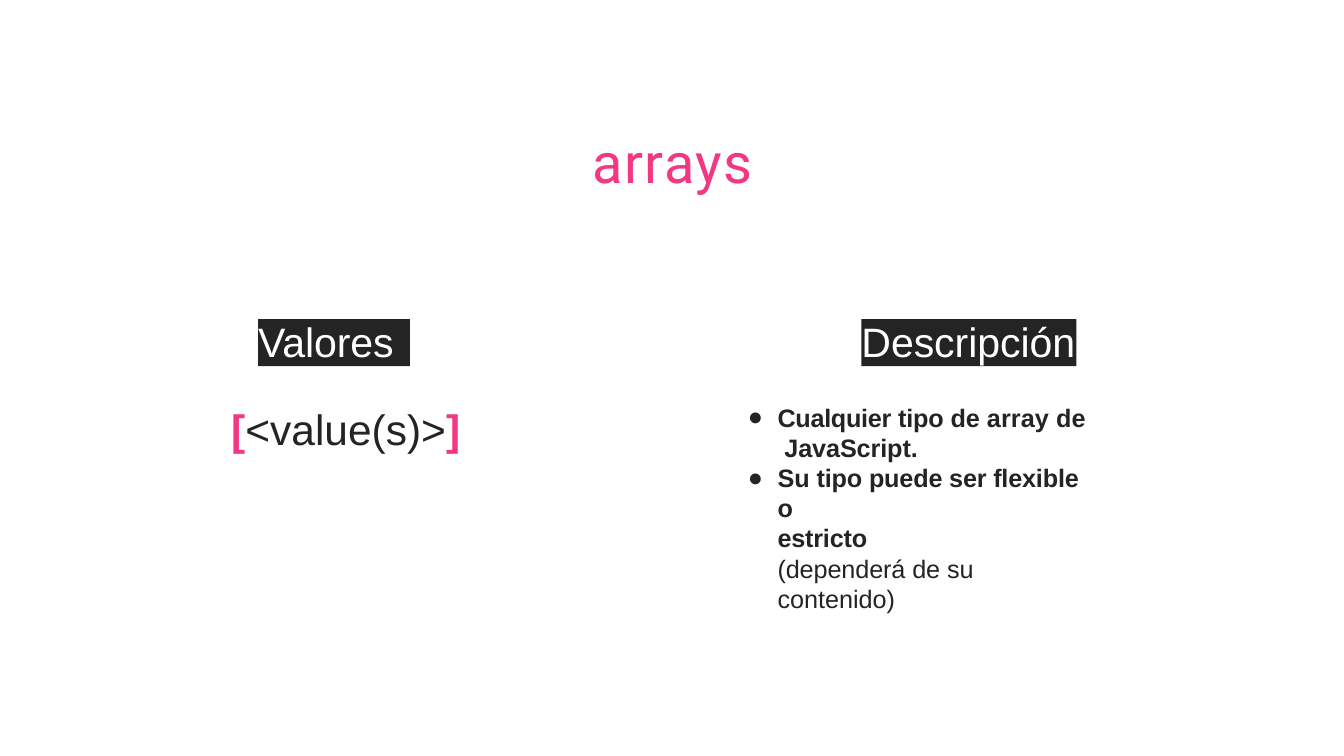
from dataclasses import dataclass

from lxml import etree
from pptx import Presentation
from pptx import util as u
from pptx.dml.color import RGBColor
from pptx.enum import shapes, text
from pptx.oxml import ns


@dataclass(frozen=True)
class Theme:
    """Colours, fonts and type sizes of the slide."""
    pink: str = "F33783"
    dark: str = "242424"
    white: str = "FFFFFF"
    title_font: str = "Roboto"
    body_font: str = "Arial"
    title_size: float = 60
    heading_size: float = 44
    syntax_size: float = 45.5
    list_size: float = 27


@dataclass(frozen=True)
class Box:
    """A region in percent of the slide's width and height."""
    left: float
    top: float
    width: float
    height: float

    def inner(self, dx, dy, width, height):
        """Return a box placed relative to this one."""
        return Box(self.left + dx, self.top + dy, width, height)

    def inches(self):
        """Return left, top, width and height as lengths."""
        return (u.Inches(self.left * WIDTH / 100), u.Inches(self.top * HEIGHT / 100),
                u.Inches(self.width * WIDTH / 100), u.Inches(self.height * HEIGHT / 100))


THEME = Theme()
WIDTH, HEIGHT = 20, 11.25
HEADING_HEIGHT = 6.22
CONTENT_DROP = 10.85


def place(shape, box):
    """Move a shape to its box."""
    shape.left, shape.top, shape.width, shape.height = box.inches()


def prepare_frame(shape, top_inset=0):
    """Set tight insets and top-left wrapped text."""
    frame = shape.text_frame
    frame.word_wrap = True
    frame.auto_size = text.MSO_AUTO_SIZE.SHAPE_TO_FIT_TEXT
    frame.vertical_anchor = text.MSO_ANCHOR.TOP
    frame.margin_left = frame.margin_right = frame.margin_bottom = 0
    frame.margin_top = u.Inches(top_inset)
    return frame


def format_paragraph(paragraph, before=0, spacing=None, left=0, hanging=0, right=0):
    """Set alignment, spacing and indents of a paragraph."""
    paragraph.alignment = text.PP_ALIGN.LEFT
    paragraph.space_before = u.Pt(before)
    if spacing:
        paragraph.line_spacing = u.Pt(spacing)
    properties = paragraph._p.get_or_add_pPr()
    for name, value in (("marL", left), ("indent", hanging), ("marR", right)):
        properties.set(name, str(u.Inches(value)))
    return properties


def add_run(paragraph, words, size, color, tracking=0, bold=False, font=THEME.body_font):
    """Append one formatted run."""
    run = paragraph.add_run()
    run.text = words
    run.font.size = u.Pt(size)
    run.font.name = font
    run.font.bold = bold
    run.font.color.rgb = RGBColor.from_string(color)
    run._r.get_or_add_rPr().set("spc", str(round(tracking * 100)))


def set_bullet(properties, character=None, tabs=()):
    """Set or remove the bullet and add tab stops."""
    if character:
        etree.SubElement(properties, ns.qn("a:buChar")).set("char", character)
    else:
        etree.SubElement(properties, ns.qn("a:buNone"))
    if tabs:
        stops = etree.SubElement(properties, ns.qn("a:tabLst"))
        for position in tabs:
            stop = etree.SubElement(stops, ns.qn("a:tab"))
            stop.set("pos", str(u.Inches(position)))
            stop.set("algn", "l")


def add_title(slide, box):
    """Fill the title placeholder."""
    title = slide.shapes.title
    place(title, box)
    paragraph = prepare_frame(title, 0.01).paragraphs[0]
    format_paragraph(paragraph, before=1, left=0.01)
    for words, tracking in (("arr", 1.2), ("ays", 1.3)):
        add_run(paragraph, words, THEME.title_size, THEME.pink, tracking, font=THEME.title_font)


def add_heading(slide, box, words):
    """Add a dark heading bar."""
    bar = slide.shapes.add_shape(shapes.MSO_SHAPE.RECTANGLE, *box.inches())
    bar.shadow.inherit = False
    bar.fill.solid()
    bar.fill.fore_color.rgb = RGBColor.from_string(THEME.dark)
    bar.line.fill.background()
    paragraph = prepare_frame(bar).paragraphs[0]
    format_paragraph(paragraph, spacing=49.6)
    add_run(paragraph, words, THEME.heading_size, THEME.white, -0.1)


def add_values(slide, box):
    """Add the heading and syntax of the values column."""
    add_heading(slide, box.inner(2.05, 0, 11.3, HEADING_HEIGHT), "Valores")
    syntax_box = box.inner(0, CONTENT_DROP, box.width, 7.02)
    syntax = slide.shapes.add_textbox(*syntax_box.inches())
    paragraph = prepare_frame(syntax, 0.02).paragraphs[0]
    format_paragraph(paragraph, before=1.1, left=0.01)
    for words, tracking in (("[", 0), ("<v", 0.1), ("a", -0.1), ("lue(s", 0),
                            (")", -0.2), (">", 0.1), ("]", 0)):
        bracket = words in "[]"
        color = THEME.pink if bracket else THEME.dark
        add_run(paragraph, words, THEME.syntax_size, color, tracking, bracket)


def add_description(slide, box):
    """Add the heading and bulleted list of the description column."""
    add_heading(slide, box.inner(8.5, 0, 16, HEADING_HEIGHT), "Descripción")
    body = slide.placeholders[1]
    place(body, box.inner(0, CONTENT_DROP, box.width, 16.36))
    frame = prepare_frame(body, 0.01)
    items = (
        (dict(before=1, hanging=-0.44), "●", (0.45,), True,
         (("Cualquier ", -0.3), ("tipo ", -0.2), ("de ", 0), ("array ", 0.1),
          ("de \u00a0JavaScript.", -0.1))),
        (dict(spacing=32.2, hanging=-0.44), "●", (0.45, 5.43), True,
         (("Su ", 0), ("tipo puede ser flexible ", -0.2), ("o\t", 0), ("estricto", -0.2))),
        (dict(before=0.8), None, (), False,
         (("(dependerá de su ", -0.1), ("contenido)", 0))),
    )
    for index, (layout, bullet, tabs, bold, runs) in enumerate(items):
        paragraph = frame.add_paragraph() if index else frame.paragraphs[0]
        properties = format_paragraph(paragraph, left=0.45, right=1.64, **layout)
        set_bullet(properties, bullet, tabs)
        for words, tracking in runs:
            add_run(paragraph, words, THEME.list_size, THEME.dark, tracking, bold)


def build():
    """Build and save the presentation."""
    presentation = Presentation()
    presentation.slide_width = u.Inches(WIDTH)
    presentation.slide_height = u.Inches(HEIGHT)
    slide = presentation.slides.add_slide(presentation.slide_layouts[1])
    add_title(slide, Box(44.05, 16.8, 12, 9.16))
    add_values(slide, Box(17.15, 42.22, 17.2, 17.87))
    add_description(slide, Box(55.6, 42.22, 33.85, 27.21))
    presentation.save("out.pptx")


build()
